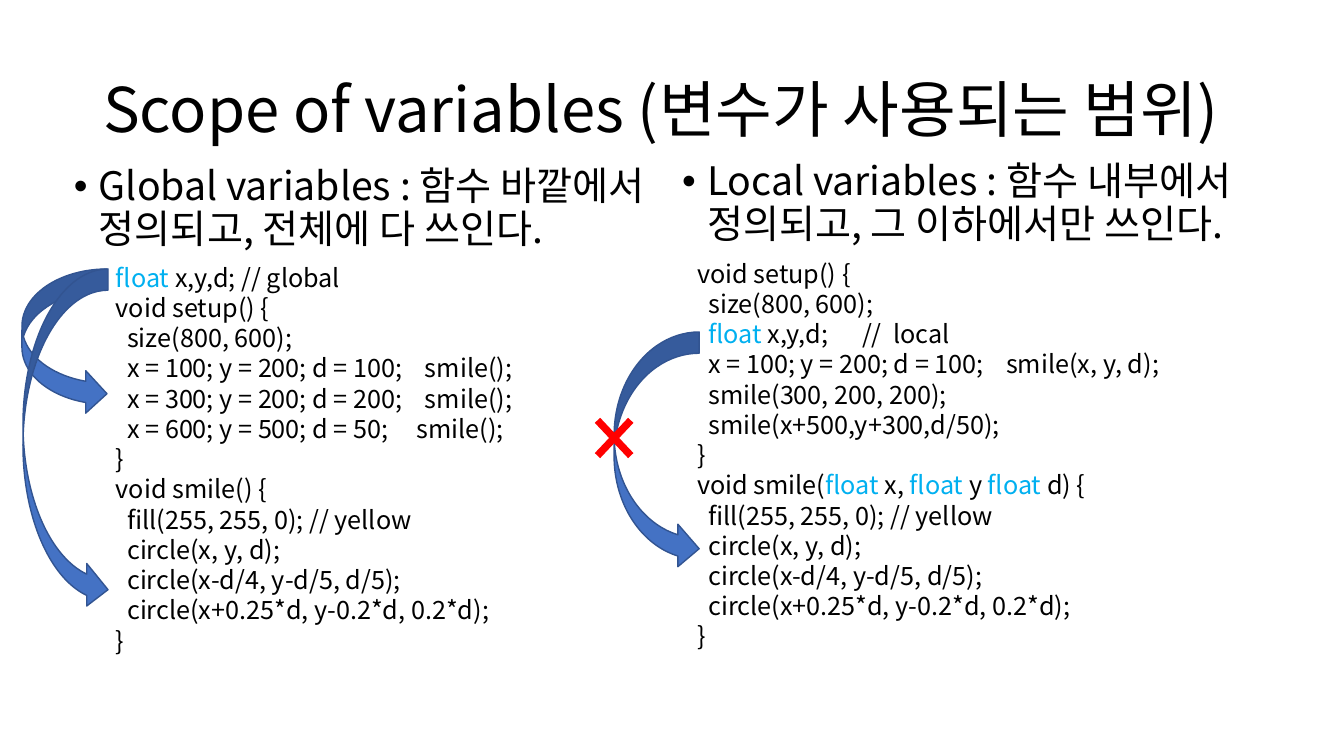
from lxml import etree
from pptx import Presentation
from pptx import util as u
from pptx.dml.color import RGBColor
from pptx.enum import shapes, text
from pptx.oxml.ns import qn

TITLE = "Scope of variables (변수가 사용되는 범위)"
SCOPES = [
    {
        "rule": "Global variables : 함수 바깥에서 정의되고, 전체에 다 쓰인다.",
        "rule_at": (64, 162),
        "code_at": (106, 257),
        "code": """float x,y,d; // global
void setup() {
  size(800, 600);
  x = 100; y = 200; d = 100;    smile();
  x = 300; y = 200; d = 200;    smile();
  x = 600; y = 500; d = 50;     smile();
}
void smile() {
  fill(255, 255, 0); // yellow
  circle(x, y, d);
  circle(x-d/4, y-d/5, d/5);
  circle(x+0.25*d, y-0.2*d, 0.2*d);
}""",
        "reaches": [(22, 269, 146), (23, 269, 342)],
    },
    {
        "rule": "Local variables : 함수 내부에서 정의되고, 그 이하에서만 쓰인다.",
        "rule_at": (672, 157),
        "code_at": (687, 253),
        "code": """void setup() {
  size(800, 600);
  float x,y,d;      //  local
  x = 100; y = 200; d = 100;    smile(x, y, d);
  smile(300, 200, 200);
  smile(x+500,y+300,d/50);
}
void smile(float x, float y float d) {
  fill(255, 255, 0); // yellow
  circle(x, y, d);
  circle(x-d/4, y-d/5, d/5);
  circle(x+0.25*d, y-0.2*d, 0.2*d);
}""",
        "reaches": [(614, 332, 238)],
    },
]
KEYWORD = "float"
TITLE_BOX = (93, 40, 1195, 146)
RULE_SIZE = (627, 146)
CODE_SIZE = (671, 407)
REACH_WIDTH = 85
BLOCKED_BOX = (582, 404, 64, 68)
BULLET_INDENT = 25

THEME = {
    "font": "Noto Sans CJK KR",
    "ink": "000000", "keyword": "00B0F0",
    "reach": "4472C4", "reach_edge": "325491", "blocked": "FF0000",
    "title": 44, "rule": 28, "code": 18,
}


def px(pixels):
    return round(pixels * 914400 / 100.8)


def color(name):
    return RGBColor.from_string(THEME[name])


def write(frame, content, size, spacing=1.0, before=0, bullet=False,
          anchor=text.MSO_ANCHOR.TOP, keyword=None):
    frame.word_wrap = True
    frame.auto_size = text.MSO_AUTO_SIZE.NONE
    frame.vertical_anchor = anchor
    for number, line in enumerate(content.split("\n")):
        paragraph = frame.add_paragraph() if number else frame.paragraphs[0]
        paragraph.alignment = text.PP_ALIGN.LEFT
        paragraph.line_spacing = spacing
        paragraph.space_before = u.Pt(before)
        if bullet:
            properties = paragraph._p.get_or_add_pPr()
            properties.set("marL", str(px(BULLET_INDENT)))
            properties.set("indent", str(-px(BULLET_INDENT)))
            etree.SubElement(properties, qn("a:buFont"), typeface="Arial")
            etree.SubElement(properties, qn("a:buChar"), char="•")
        pieces = [(line, "ink")]
        if keyword:
            pieces = []
            for position, plain in enumerate(line.split(keyword)):
                if position:
                    pieces.append((keyword, "keyword"))
                pieces.append((plain, "ink"))
        for words, ink in pieces:
            if words:
                run = paragraph.add_run()
                run.text = words
                run.font.size = u.Pt(THEME[size])
                run.font.color.rgb = color(ink)
                run.font.name = THEME["font"]
                etree.SubElement(run._r.get_or_add_rPr(), qn("a:ea"), typeface=THEME["font"])


def add_mark(kind, box, fill, edge=None):
    mark = slide.shapes.add_shape(kind, *map(px, box))
    mark.shadow.inherit = False
    mark.fill.solid()
    mark.fill.fore_color.rgb = color(fill)
    if edge:
        mark.line.color.rgb = color(edge)
        mark.line.width = u.Pt(1)
    else:
        mark.line.fill.background()
    return mark


deck = Presentation()
deck.slide_width, deck.slide_height = u.Inches(13.33), u.Inches(7.5)
slide = deck.slides.add_slide(deck.slide_layouts[5])

title = slide.shapes.title
title.left, title.top, title.width, title.height = map(px, TITLE_BOX)
write(title.text_frame, TITLE, "title", spacing=0.9, anchor=text.MSO_ANCHOR.MIDDLE)

for scope in SCOPES:
    rule = slide.shapes.add_textbox(*map(px, scope["rule_at"] + RULE_SIZE))
    write(rule.text_frame, scope["rule"], "rule", spacing=0.9, before=10, bullet=True)
    code = slide.shapes.add_textbox(*map(px, scope["code_at"] + CODE_SIZE))
    write(code.text_frame, scope["code"], "code", keyword=KEYWORD)
    for left, top, height in scope["reaches"]:
        add_mark(shapes.MSO_SHAPE.CURVED_RIGHT_ARROW, (left, top, REACH_WIDTH, height),
                 "reach", edge="reach_edge")

blocked = add_mark(shapes.MSO_SHAPE.MATH_MULTIPLY, BLOCKED_BOX, "blocked")
blocked.adjustments[0] = 0.115

deck.save("out.pptx")
